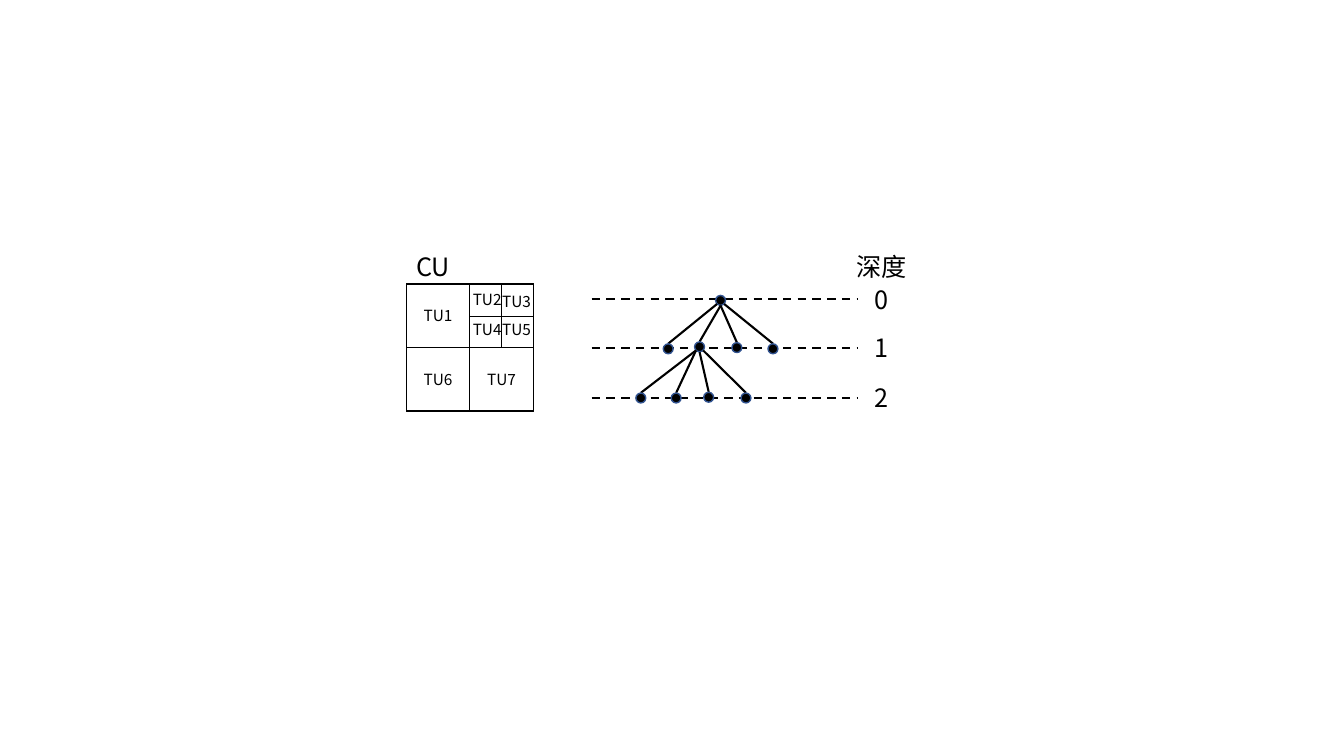
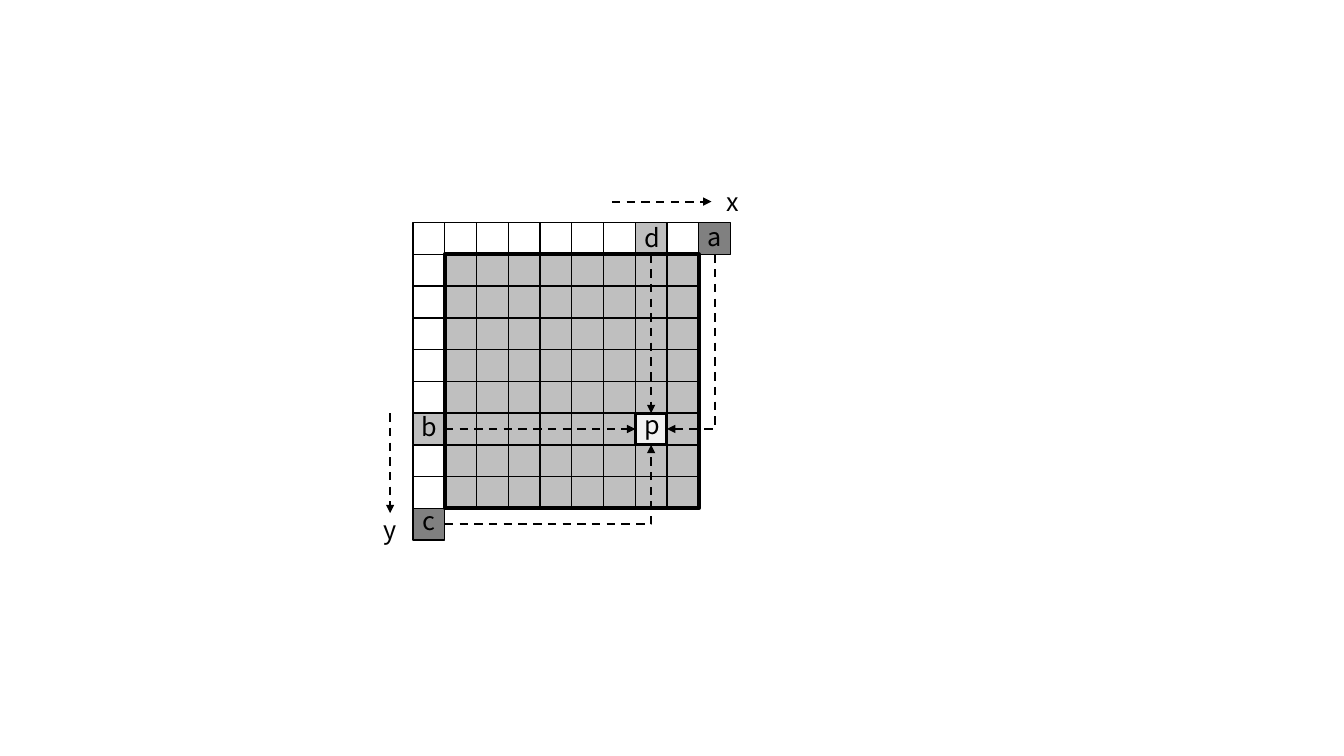
import pptx
import pptx.util
from pptx.dml.color import RGBColor
from pptx.enum.dml import MSO_LINE
from pptx.enum.shapes import MSO_CONNECTOR, MSO_SHAPE
from pptx.enum.text import MSO_AUTO_SIZE, PP_ALIGN
from pptx.oxml.ns import qn
from pptx.util import Cm
from lxml import etree

BLACK = RGBColor(0x00, 0x00, 0x00)
NAVY = RGBColor(0x32, 0x54, 0x91)
LIGHT = RGBColor(0xF2, 0xF2, 0xF2)
GRAY = RGBColor(0xBF, 0xBF, 0xBF)
DARK = RGBColor(0x80, 0x80, 0x80)
FONT = "Noto Sans CJK SC"


class Deck:
    def __init__(self):
        self.prs = pptx.Presentation()
        self.prs.slide_width = Cm(33.87)
        self.prs.slide_height = Cm(19.05)
        self.s = None

    def slide(self):
        self.s = self.prs.slides.add_slide(self.prs.slide_layouts[6])

    def shape(self, kind, x, y, w, h, fill=None, line=BLACK, weight=1):
        sp = self.s.shapes.add_shape(kind, Cm(x), Cm(y), Cm(w), Cm(h))
        sp.shadow.inherit = False
        if fill is None:
            sp.fill.background()
        else:
            sp.fill.solid()
            sp.fill.fore_color.rgb = fill
        sp.line.color.rgb = line
        sp.line.width = pptx.util.Pt(weight)

    def square(self, x, y, side, fill=None, weight=1):
        self.shape(MSO_SHAPE.RECTANGLE, x, y, side, side, fill, BLACK, weight)

    def dot(self, x, y, size=0.25):
        self.shape(MSO_SHAPE.OVAL, x - size / 2, y - size / 2, size, size, BLACK, NAVY)

    def text(self, text, x, y, w, h=1.02, size=18, align=PP_ALIGN.CENTER):
        sp = self.s.shapes.add_textbox(Cm(x), Cm(y), Cm(w), Cm(h))
        tf = sp.text_frame
        tf.word_wrap = True
        tf.auto_size = MSO_AUTO_SIZE.SHAPE_TO_FIT_TEXT
        if align == PP_ALIGN.CENTER:
            tf.margin_left = tf.margin_right = 0
        p = tf.paragraphs[0]
        p.text = text
        p.alignment = align
        p.font.size = pptx.util.Pt(size)
        p.font.color.rgb = BLACK
        p.font.name = FONT
        props = p._p.find(".//" + qn("a:defRPr"))
        etree.SubElement(props, qn("a:ea")).set("typeface", FONT)

    def line(self, x1, y1, x2, y2, weight=1.5, dash=False, arrow=False,
             kind=MSO_CONNECTOR.STRAIGHT):
        c = self.s.shapes.add_connector(kind, Cm(x1), Cm(y1), Cm(x2), Cm(y2))
        c.line.color.rgb = BLACK
        c.line.width = pptx.util.Pt(weight)
        if dash:
            c.line.dash_style = MSO_LINE.DASH
        props = c._element.spPr
        if arrow:
            etree.SubElement(props.find(qn("a:ln")), qn("a:tailEnd")).set("type", "triangle")
        etree.SubElement(props, qn("a:effectLst"))
        return props

    def arrow(self, x1, y1, x2, y2):
        self.line(x1, y1, x2, y2, dash=True, arrow=True)

    def elbow(self, x1, y1, x2, y2, down_first=False):
        if down_first:
            cx, cy = (x1 + x2) / 2, (y1 + y2) / 2
            w, h = abs(y2 - y1), abs(x2 - x1)
            x1, y1, x2, y2 = cx - w / 2, cy - h / 2, cx + w / 2, cy + h / 2
        props = self.line(x1, y1, x2, y2, dash=True, arrow=True, kind=MSO_CONNECTOR.ELBOW)
        props.find(qn("a:prstGeom")).set("prst", "bentConnector2")
        if down_first:
            props.find(qn("a:xfrm")).set("rot", "5400000")

    def branches(self, parent, children, docks):
        px, py = parent
        for (x, y), (dx, dy) in zip(children, docks):
            self.line(x, y - 0.13, px + dx, py + dy)
            self.dot(x, y)


def transform_tree(deck):
    deck.slide()
    left, top, side = 10.24, 7.16, 1.6
    mid_x, mid_y = left + side, top + side
    deck.square(left, top, 2 * side)
    for x in (left, mid_x):
        for y in (top, mid_y):
            deck.square(x, y, side)
    deck.line(mid_x, top + side / 2, mid_x + side, top + side / 2, 0.5)
    deck.line(mid_x + side / 2, top, mid_x + side / 2, mid_y, 0.5)
    for name, x, y in (("TU1", left, top), ("TU6", left, mid_y), ("TU7", mid_x, mid_y)):
        deck.text(name, x, y + 0.43, side, 0.74, 11)
    for name, x, y in (("TU2", 11.66, 7.19), ("TU3", 12.4, 7.24),
                       ("TU4", 11.66, 7.95), ("TU5", 12.4, 7.95)):
        deck.text(name, x, y, 1.24, 0.74, 11)
    deck.text("CU", left, 6.2, 1.8, align=PP_ALIGN.LEFT)

    deck.text("深度", 21.31, 6.2, 1.8)
    for depth, y in enumerate((7.54, 8.76, 10.03)):
        deck.line(14.91, y, 21.62, y, dash=True)
        deck.text(str(depth), 21.31, y - 0.51, 1.8)

    root = (18.16, 7.57)
    units = [(16.84, 8.79), (17.63, 8.74), (18.57, 8.76), (19.48, 8.79)]
    subunits = [(16.15, 10.03), (17.04, 10.03), (17.86, 10.01), (18.8, 10.03)]
    deck.dot(*root)
    deck.branches(root, units, [(-0.09, 0.09), (0, 0.13), (0, 0.13), (0.09, 0.09)])
    deck.branches(units[1], subunits, [(-0.09, 0.09), (-0.09, 0.09), (0, 0.13), (0.09, 0.09)])


def planar_prediction(deck):
    deck.slide()
    left, top, cell, n = 10.41, 5.61, 0.8, 8

    def at(col, row):
        return left + col * cell, top + row * cell

    p_col, p_row = 7, 6
    for row in range(1, n + 1):
        for col in range(1, n + 1):
            if (col, row) == (p_col, p_row):
                deck.square(*at(col, row), cell, LIGHT, 2.25)
            else:
                deck.square(*at(col, row), cell, GRAY)
    fills = {(p_col, 0): GRAY, (0, p_row): GRAY, (n + 1, 0): DARK, (0, n + 1): DARK}
    border = [(col, 0) for col in range(n + 2)] + [(0, row) for row in range(1, n + 2)]
    for spot in border:
        deck.square(*at(*spot), cell, fills.get(spot))
    deck.square(*at(1, 1), n * cell, weight=2.75)

    mid_x, mid_y = p_col + 0.5, p_row + 0.5
    deck.elbow(*at(1, n + 1.5), *at(mid_x, p_row + 1))
    deck.arrow(*at(1, mid_y), *at(p_col, mid_y))
    deck.arrow(*at(mid_x, 1), *at(mid_x, p_row))
    deck.elbow(*at(n + 1.5, 1), *at(p_col + 1, mid_y), down_first=True)
    deck.arrow(9.83, 10.41, 9.83, 12.93)
    deck.arrow(15.42, 5.08, 17.93, 5.08)
    for name, x, y in (("x", 18.01, 4.57), ("y", 9.37, 12.83), ("a", 17.55, 5.46),
                       ("b", 10.36, 10.24), ("c", 10.36, 12.6), ("d", 15.98, 5.49),
                       ("p", 15.98, 10.19)):
        deck.text(name, x, y, 0.91)


deck = Deck()
transform_tree(deck)
planar_prediction(deck)
deck.prs.save("out.pptx")
